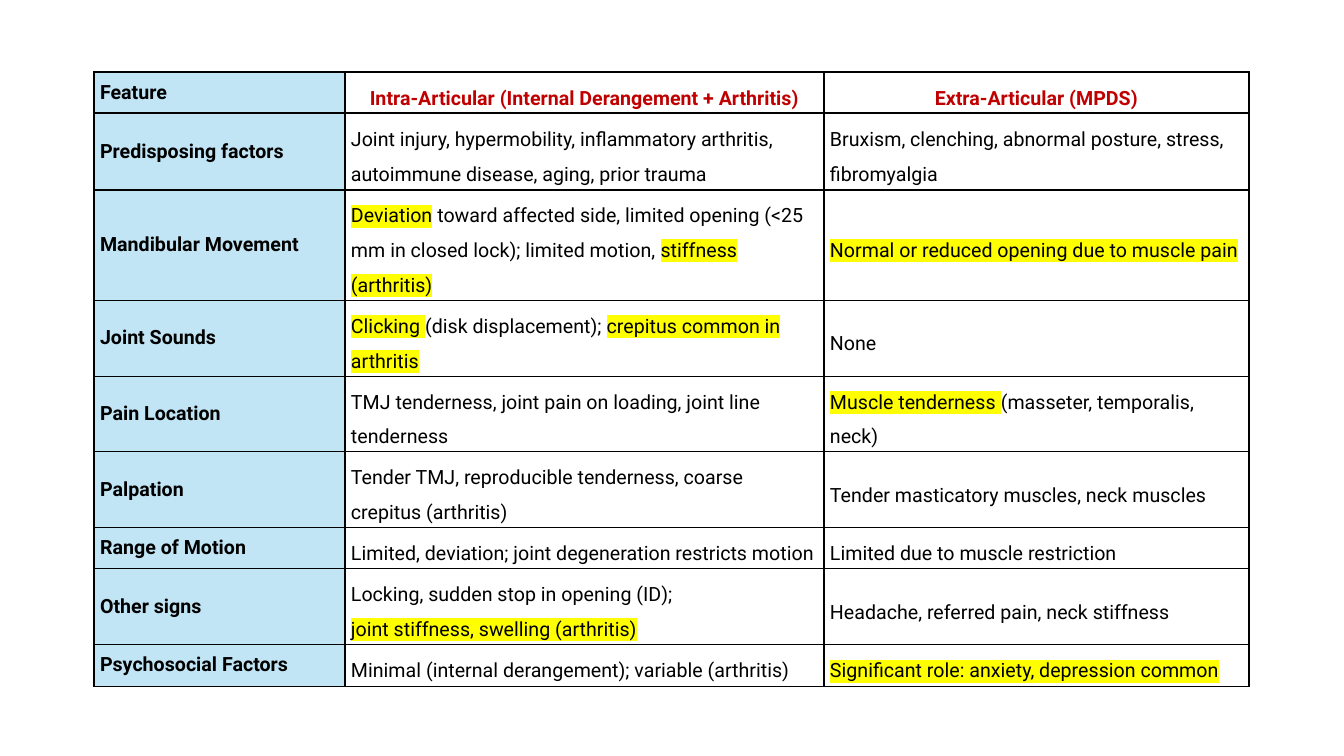
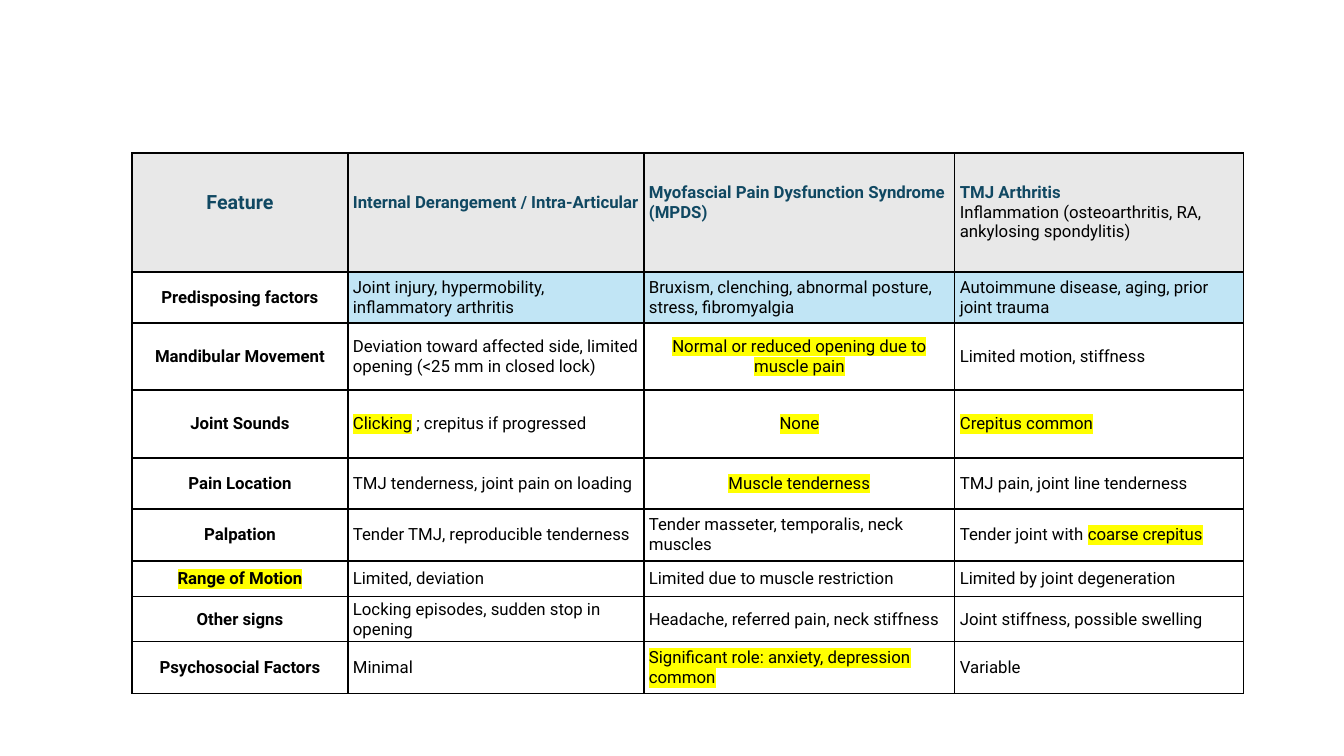
from pptx import Presentation
from pptx import util as u
from pptx.dml.color import RGBColor
from pptx.enum import text
from pptx.oxml import parse_xml
from pptx.oxml.ns import nsdecls, qn

BLACK = RGBColor(0x00, 0x00, 0x00)
WHITE = RGBColor(0xFF, 0xFF, 0xFF)
RED = RGBColor(0xC0, 0x00, 0x00)
TEAL = RGBColor(0x10, 0x48, 0x62)
SKY = RGBColor(0xC1, 0xE5, 0xF5)
GREY = RGBColor(0xE8, 0xE8, 0xE8)
YELLOW = RGBColor(0xFF, 0xFF, 0x00)
FONT = "Roboto"
MARK = "*"
LEFT, CENTER = text.PP_ALIGN.LEFT, text.PP_ALIGN.CENTER

FEATURES = ["Feature", "Predisposing factors", "Mandibular Movement", "Joint Sounds", "Pain Location",
            "Palpation", "Range of Motion", "Other signs", "Psychosocial Factors"]

TWO_GROUPS = [
    ("Intra-Articular (Internal Derangement + Arthritis)", "Extra-Articular (MPDS)"),
    ("Joint injury, hypermobility, inflammatory arthritis, autoimmune disease, aging, prior trauma",
     "Bruxism, clenching, abnormal posture, stress, fibromyalgia"),
    ("*Deviation* toward affected side, limited opening (<25 mm in closed lock); limited motion, "
     "*stiffness (arthritis)*", "*Normal or reduced opening due to muscle pain*"),
    ("*Clicking *(disk displacement); *crepitus common in arthritis*", "None"),
    ("TMJ tenderness, joint pain on loading, joint line tenderness",
     "*Muscle tenderness *(masseter, temporalis, neck)"),
    ("Tender TMJ, reproducible tenderness, coarse crepitus (arthritis)",
     "Tender masticatory muscles, neck muscles"),
    ("Limited, deviation; joint degeneration restricts motion", "Limited due to muscle restriction"),
    ("Locking, sudden stop in opening (ID);\n*joint stiffness, swelling (arthritis)*",
     "Headache, referred pain, neck stiffness"),
    ("Minimal (internal derangement); variable (arthritis)",
     "*Significant role: anxiety, depression common*"),
]

THREE_GROUPS = [
    ("Internal Derangement / Intra-Articular", "Myofascial Pain Dysfunction Syndrome (MPDS)",
     "TMJ Arthritis\nInflammation (osteoarthritis, RA, ankylosing spondylitis)"),
    ("Joint injury, hypermobility, inflammatory arthritis",
     "Bruxism, clenching, abnormal posture, stress, fibromyalgia",
     "Autoimmune disease, aging, prior joint trauma"),
    ("Deviation toward affected side, limited opening (<25 mm in closed lock)",
     "*Normal or reduced opening due to muscle pain*", "Limited motion, stiffness"),
    ("*Clicking* ; crepitus if progressed", "*None*", "*Crepitus common*"),
    ("TMJ tenderness, joint pain on loading", "*Muscle tenderness*", "TMJ pain, joint line tenderness"),
    ("Tender TMJ, reproducible tenderness", "Tender masseter, temporalis, neck muscles",
     "Tender joint with *coarse crepitus*"),
    ("Limited, deviation", "Limited due to muscle restriction", "Limited by joint degeneration"),
    ("Locking episodes, sudden stop in opening", "Headache, referred pain, neck stiffness",
     "Joint stiffness, possible swelling"),
    ("Minimal", "*Significant role: anxiety, depression common*", "Variable"),
]
MARKED_FEATURES = {"Range of Motion"}
CENTERED_FINDINGS = {(2, 2), (3, 2), (4, 2)}
HEADING_LIFT = 20


def px(length):
    return u.Emu(round(length * 914400 / 100.8))


def two_group_style(row, col):
    style = dict(size=14, color=BLACK, bold=row == 0 or col == 0, fill=WHITE, align=LEFT, spacing=1.5)
    if col == 0:
        style.update(fill=SKY, spacing=1)
    elif row == 0:
        style.update(color=RED, align=CENTER)
    return style


def three_group_style(row, col):
    style = dict(size=12, color=BLACK, bold=row == 0 or col == 0, fill=WHITE, align=LEFT, spacing=1)
    if col == 0 or (row, col) in CENTERED_FINDINGS:
        style["align"] = CENTER
    if row == 0:
        style.update(color=TEAL, fill=GREY, size=14 if col == 0 else 12, lift=HEADING_LIFT if col < 3 else 0)
    elif row == 1 and col > 0:
        style["fill"] = SKY
    return style


def add_run(paragraph, wording, size, color, bold, marked):
    run = paragraph.add_run()
    run.text = wording
    run.font.size, run.font.bold, run.font.name = u.Pt(size), bold, FONT
    run.font.color.rgb = color
    if marked:
        highlight = parse_xml(f'<a:highlight {nsdecls("a")}><a:srgbClr val="{YELLOW}"/></a:highlight>')
        run.font.fill
        run._r.get_or_add_rPr().find(qn("a:solidFill")).addnext(highlight)


def add_borders(cell):
    properties = cell._tc.get_or_add_tcPr()
    for side in ("lnL", "lnR", "lnT", "lnB"):
        properties.append(parse_xml(
            f'<a:{side} {nsdecls("a")} w="{u.Pt(1)}"><a:solidFill><a:srgbClr val="{BLACK}"/>'
            f'</a:solidFill></a:{side}>'))


def fill_cell(cell, wording, margins, size, color, bold, fill, align, spacing, lift=0):
    side, edge = margins
    add_borders(cell)
    cell.fill.solid()
    cell.fill.fore_color.rgb = fill
    cell.vertical_anchor = text.MSO_ANCHOR.MIDDLE
    cell.margin_left = cell.margin_right = px(side)
    cell.margin_top, cell.margin_bottom = px(edge), px(edge + lift)
    for i, line in enumerate(wording.split("\n")):
        paragraph = cell.text_frame.paragraphs[0] if i == 0 else cell.text_frame.add_paragraph()
        paragraph.alignment, paragraph.line_spacing = align, float(spacing)
        for j, part in enumerate(line.split(MARK)):
            if part:
                add_run(paragraph, part, size, color if i == 0 else BLACK, bold and i == 0, j % 2 == 1)


def add_comparison(deck, left, top, widths, heights, margins, features, findings, style_of):
    slide = deck.slides.add_slide(deck.slide_layouts[6])
    frame = slide.shapes.add_table(len(heights), len(widths), px(left), px(top),
                                   px(sum(widths)), px(sum(heights)))
    table = frame.table
    table.first_row = table.horz_banding = False
    for column, width in zip(table.columns, widths):
        column.width = px(width)
    for row, height in zip(table.rows, heights):
        row.height = px(height)
    for r, (feature, values) in enumerate(zip(features, findings)):
        for c, wording in enumerate((feature, *values)):
            fill_cell(table.cell(r, c), wording, margins, **style_of(r, c))


def main():
    deck = Presentation()
    deck.slide_width, deck.slide_height = px(1344), px(756)
    add_comparison(deck, 94, 72, [251, 479, 425], [41, 77, 110, 76, 75, 76, 41, 75, 42], (6, 3),
                   FEATURES, TWO_GROUPS, two_group_style)
    marked = [f"{MARK}{name}{MARK}" if name in MARKED_FEATURES else name for name in FEATURES]
    add_comparison(deck, 132, 153, [216, 296, 311, 289], [119, 51, 67, 68, 51, 52, 36, 45, 52], (5, 2),
                   marked, THREE_GROUPS, three_group_style)
    deck.save("out.pptx")


if __name__ == "__main__":
    main()
